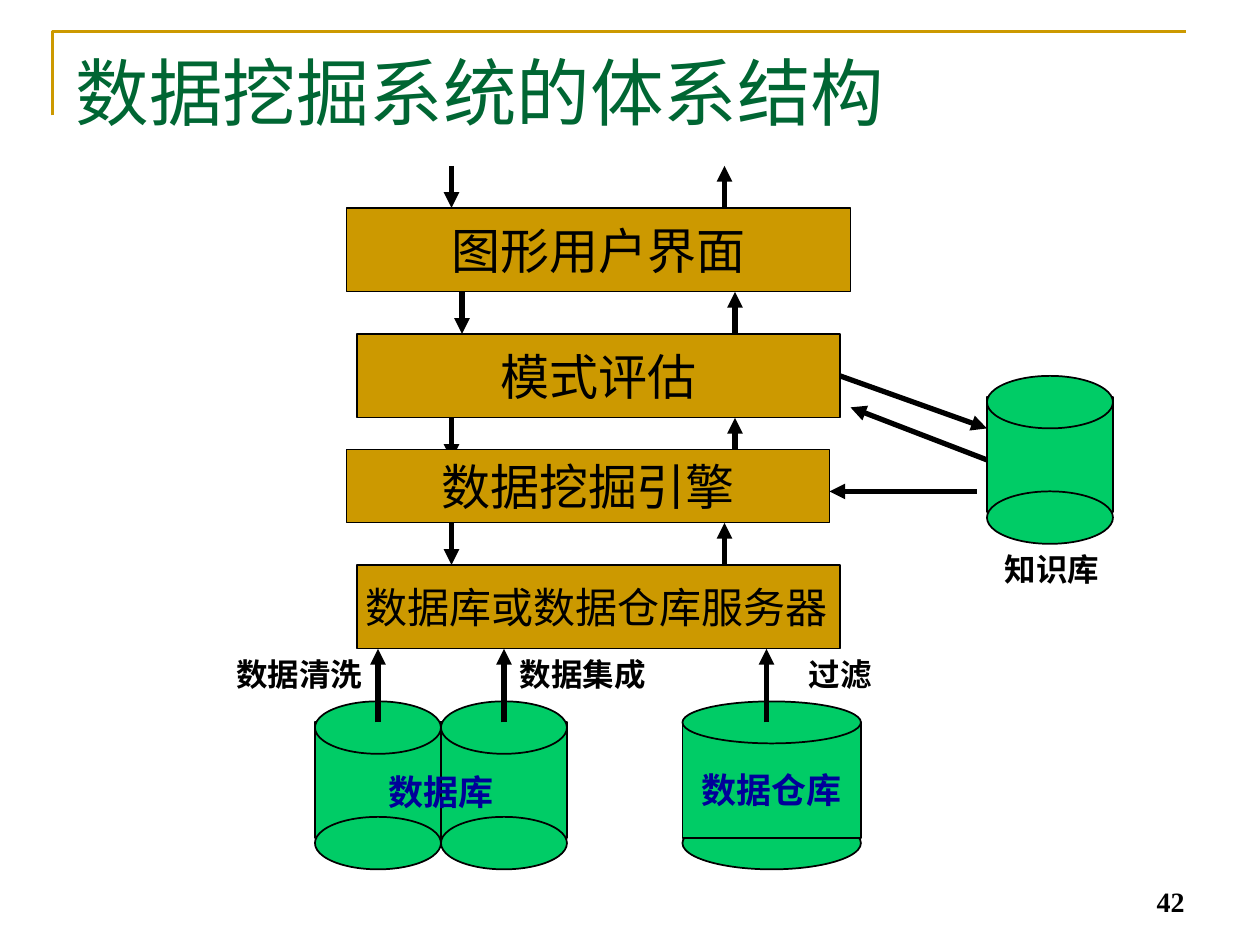
"""Build the slide on the architecture of a data mining system."""
from dataclasses import dataclass

from pptx import Presentation
from pptx import util as u
from pptx.dml.color import RGBColor
from pptx.enum import shapes, text
from pptx.oxml.ns import qn

PX = u.Inches(1) // 120
GOLD, GREEN, BLACK, NAVY = "CC9900", "00CC66", "000000", "000099"


@dataclass
class Stage:
    label: str
    x: int
    y: int
    w: int
    h: int


@dataclass
class Cylinder:
    x: int
    y: int
    w: int = 120
    lid: int = 50
    base_behind: bool = False


@dataclass
class Arrow:
    x1: int
    y1: int
    x2: int
    y2: int


@dataclass
class Label:
    words: str
    x: int
    y: int
    w: int
    h: int = 48
    size: int = 18
    font: str = "Arial"
    color: str = BLACK
    bold: bool = True
    align: text.PP_ALIGN = text.PP_ALIGN.CENTER
    anchor: text.MSO_ANCHOR = text.MSO_ANCHOR.TOP
    spacing: float = 1.0


STAGES = [
    Stage("数据库或数据仓库服务器", 340, 538, 460, 80),
    Stage("数据挖掘引擎", 330, 428, 460, 70),
    Stage("模式评估", 340, 318, 460, 80),
    Stage("图形用户界面", 330, 198, 480, 80),
]
CYLINDERS = [
    Cylinder(420, 668),
    Cylinder(650, 668, 170, 40, True),
    Cylinder(300, 668),
    Cylinder(940, 358),
]
FLOWS = [
    Arrow(430, 158, 430, 198), Arrow(690, 198, 690, 158),
    Arrow(440, 278, 440, 318), Arrow(700, 318, 700, 278),
    Arrow(430, 398, 430, 438), Arrow(700, 438, 700, 398),
    Arrow(430, 498, 430, 538), Arrow(690, 538, 690, 498),
    *(Arrow(x, 688, x, 618) for x in (360, 480, 730)),
    Arrow(930, 468, 790, 468), Arrow(940, 438, 810, 388),
]
LABELS = [
    Label("数据清洗", 210, 618, 150),
    Label("数据集成", 480, 618, 150),
    Label("过滤", 730, 618, 140),
    Label("知识库", 922, 518, 160, font="Cabin"),
    Label("数据库", 350, 728, 140, 53, 20, color=NAVY),
    Label("数据仓库", 640, 726, 190, 53, 20, color=NAVY),
    Label("42", 860, 820, 280, 60, 16, "Times New Roman",
          align=text.PP_ALIGN.RIGHT, anchor=text.MSO_ANCHOR.BOTTOM),
]


def rgb(value: str) -> RGBColor:
    """Turn a hex string into a colour."""
    return RGBColor.from_string(value)


def box(*lengths: int) -> list[int]:
    """Scale px lengths to EMU."""
    return [n * PX for n in lengths]


def write(tf, words: str, size: int, font: str, color: str = BLACK,
          bold: bool = False, align=text.PP_ALIGN.CENTER) -> None:
    """Put one formatted paragraph into a text frame."""
    tf.text = words
    p = tf.paragraphs[0]
    p.alignment = align
    f = p.runs[0].font
    f.size, f.name, f.bold = u.Pt(size), font, bold
    f.color.rgb = rgb(color)


def add_solid(slide, kind, x: int, y: int, w: int, h: int, fill: str, width: float):
    """Add a filled shape with a black outline."""
    sp = slide.shapes.add_shape(kind, *box(x, y, w, h))
    sp.shadow.inherit = False
    sp.fill.solid()
    sp.fill.fore_color.rgb = rgb(fill)
    sp.line.color.rgb = rgb(BLACK)
    sp.line.width = u.Pt(width)
    return sp


def add_stage(slide, stage: Stage):
    """Add one layer of the system."""
    sp = add_solid(slide, shapes.MSO_SHAPE.RECTANGLE,
                   stage.x, stage.y, stage.w, stage.h, GOLD, 0.75)
    if stage is STAGES[0]:
        add_label(slide, Label(stage.label, 328, 553, 480, 55, 24, "Cabin",
                               bold=False, spacing=0.9))
    else:
        sp.text_frame.word_wrap = False
        sp.text_frame.vertical_anchor = text.MSO_ANCHOR.MIDDLE
        write(sp.text_frame, stage.label, 28, "Cabin")
    return sp


def add_cylinder(slide, c: Cylinder) -> None:
    """Add a data store made of a body, a lid and a base."""
    oval, rect = shapes.MSO_SHAPE.OVAL, shapes.MSO_SHAPE.RECTANGLE
    body = (rect, c.x, c.y + 20, c.w, 110)
    lid = (oval, c.x, c.y, c.w, c.lid)
    base = (oval, c.x, c.y + 110, c.w, 50)
    for part in (base, body, lid) if c.base_behind else (body, lid, base):
        add_solid(slide, *part, GREEN, 1)


def add_arrow(slide, a: Arrow):
    """Add a thick black arrow pointing at its end."""
    line = slide.shapes.add_connector(shapes.MSO_CONNECTOR.STRAIGHT,
                                      *box(a.x1, a.y1, a.x2, a.y2))
    line.line.color.rgb = rgb(BLACK)
    line.line.width = u.Pt(3)
    ln = line.line._get_or_add_ln()
    ln.append(ln.makeelement(qn("a:tailEnd"), {"type": "triangle"}))
    sp_pr = line._element.spPr
    sp_pr.append(sp_pr.makeelement(qn("a:effectLst"), {}))
    return line


def add_label(slide, label: Label) -> None:
    """Add a text box."""
    sp = slide.shapes.add_textbox(*box(label.x, label.y, label.w, label.h))
    tf = sp.text_frame
    tf.word_wrap = True
    tf.vertical_anchor = label.anchor
    write(tf, label.words, label.size, label.font, label.color, label.bold, label.align)
    tf.paragraphs[0].line_spacing = label.spacing


def add_heading(slide, words: str) -> None:
    """Draw the corner rule and fill the title."""
    builder = slide.shapes.build_freeform(50, 110, scale=PX)
    builder.add_line_segments([(50, 30), (1130, 30)], close=False)
    rule = builder.convert_to_shape()
    rule.shadow.inherit = False
    rule.fill.background()
    rule.line.color.rgb = rgb(GOLD)
    rule.line.width = u.Pt(1.5)
    title = slide.shapes.title
    title.left, title.top, title.width, title.height = box(60, 36, 1080, 102)
    tf = title.text_frame
    tf.auto_size = text.MSO_AUTO_SIZE.NONE
    tf.vertical_anchor = text.MSO_ANCHOR.MIDDLE
    write(tf, words, 42, "Times New Roman", "006633", align=text.PP_ALIGN.LEFT)


def main() -> None:
    """Build and save the slide."""
    prs = Presentation()
    prs.slide_width, prs.slide_height = box(1200, 900)
    slide = prs.slides.add_slide(prs.slide_layouts[5])
    add_heading(slide, "数据挖掘系统的体系结构")
    for cylinder in CYLINDERS:
        add_cylinder(slide, cylinder)
    for flow in FLOWS:
        add_arrow(slide, flow)
    stages = {stage.label: add_stage(slide, stage) for stage in STAGES}
    lookup = add_arrow(slide, Arrow(800, 358, 940, 408))
    lookup.begin_connect(stages["模式评估"], 3)
    for label in LABELS:
        add_label(slide, label)
    prs.save("out.pptx")


if __name__ == "__main__":
    main()
